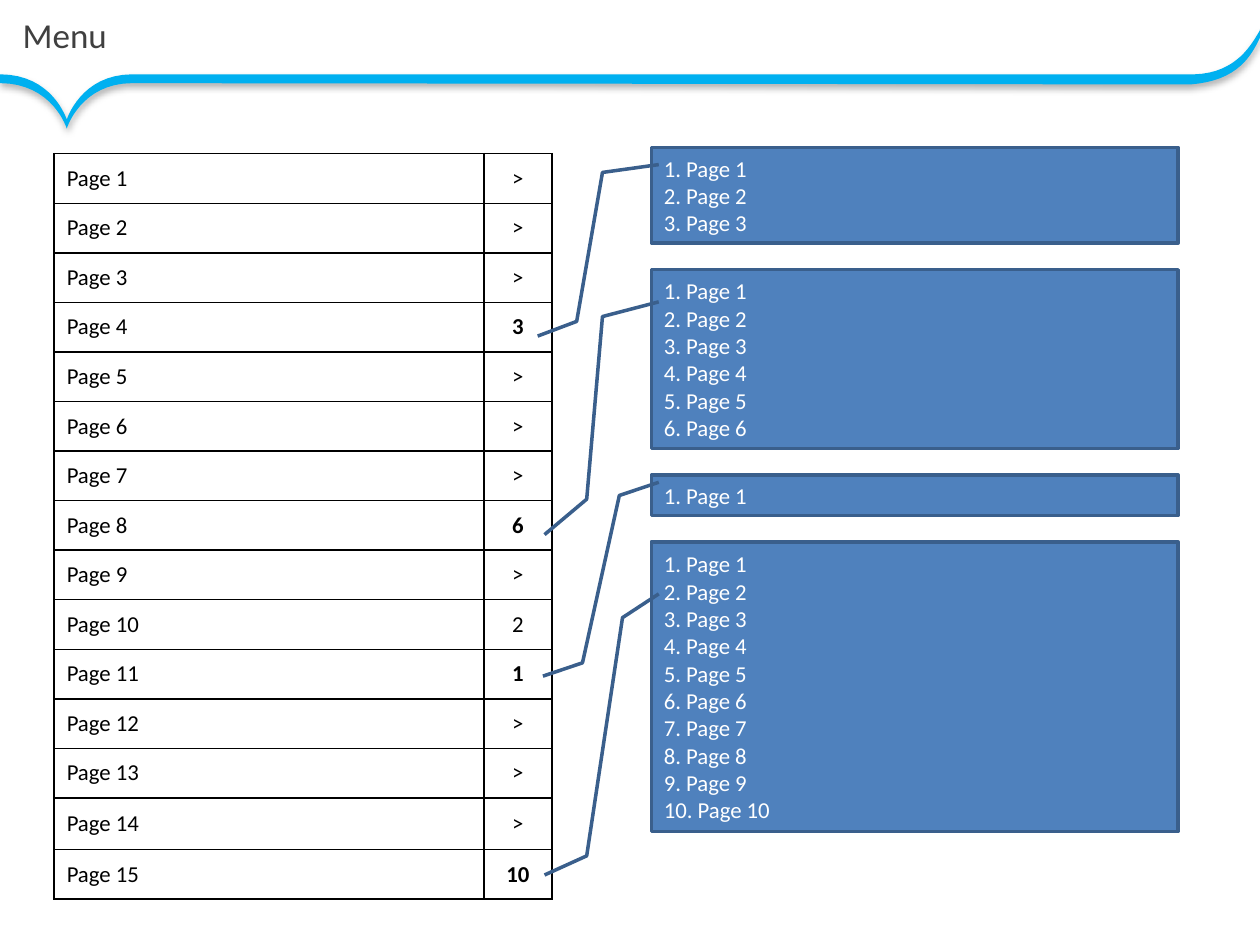
from pptx import Presentation
from pptx.dml.color import RGBColor
from pptx.enum.shapes import MSO_SHAPE
from pptx.enum.text import MSO_ANCHOR as ANCHOR, MSO_AUTO_SIZE as AUTO, PP_ALIGN as ALIGN
from pptx.oxml import parse_xml
from pptx.oxml.ns import nsdecls
from pptx.util import Inches, Pt


def paint(fill, colour):
    fill.solid()
    fill.fore_color.rgb = RGBColor.from_string(colour)


def write(paragraph, words, size, colour, align=ALIGN.LEFT, bold=False):
    paragraph.alignment = align
    run = paragraph.add_run()
    run.text = words
    run.font.name = "Calibri"
    run.font.size = Pt(size)
    run.font.bold = bold
    paint(run.font.fill, colour)


deck = Presentation()
deck.slide_width, deck.slide_height = Inches(10), Inches(7.5)
COL = deck.slide_width // 1000
ROW = deck.slide_height // 750
menu = deck.slides.add_slide(deck.slide_layouts[5])

heading = menu.shapes.title
heading.left, heading.top = 8 * COL, 4 * ROW
heading.width, heading.height = 942 * COL, 47 * ROW
heading.text_frame.vertical_anchor = ANCHOR.MIDDLE
write(heading.text_frame.paragraphs[0], "Menu", 20, "404040")

ribbon_start = (948, 59)
ribbon_path = [
    [(105, 59)],
    [(64, 59), (53, 95), (53, 95)],
    [(53, 95), (42, 59), (0, 59)],
    [(0, 66)],
    [(42, 66), (53, 102), (53, 102)],
    [(53, 102), (64, 66), (105, 66)],
    [(945, 67)],
    [(983, 64), (993, 44), (1000, 30)],
    [(1001, 29), (1000, 20), (1000, 24)],
    [(994, 34), (982, 58), (948, 59)],
]
STEPS = 16
outline = []
corner = ribbon_start
for stretch in ribbon_path:
    if len(stretch) == 1:
        outline.append(stretch[0])
    else:
        for step in range(1, STEPS + 1):
            t = step / STEPS
            weights = ((1 - t) ** 3, 3 * t * (1 - t) ** 2, 3 * t * t * (1 - t), t ** 3)
            outline.append(tuple(
                sum(w * point[axis] for w, point in zip(weights, [corner, *stretch]))
                for axis in (0, 1)
            ))
    corner = stretch[-1]

pen = menu.shapes.build_freeform(ribbon_start[0] * COL, ribbon_start[1] * ROW)
pen.add_line_segments([(round(x * COL), round(y * ROW)) for x, y in outline])
ribbon = pen.convert_to_shape()
paint(ribbon.fill, "00B0F0")
ribbon.line.fill.background()
ribbon.element.spPr.append(parse_xml(
    f'<a:effectLst {nsdecls("a")}><a:outerShdw blurRad="{Pt(4)}" dist="{Pt(2)}" dir="5400000"'
    ' rotWithShape="0"><a:srgbClr val="000000"><a:alpha val="31000"/></a:srgbClr>'
    '</a:outerShdw></a:effectLst>'
))

PAGES = 15
counts = {4: 3, 8: 6, 10: 2, 11: 1, 15: 10}
expanded = {
    4: (0.18, 0.014, 0.262, -0.093, 1.818, -0.142, 1.971, -0.216),
    8: (0.18, 0.014, 0.262, -0.093, 1.283, -0.123, 1.481, -0.203),
    11: (0.18, 0.014, 0.507, -0.061, 4.657, -0.131, 4.987, -0.206),
    15: (0.18, 0.014, 0.262, -0.055, 1.084, -0.123, 1.15, -0.203),
}

pages = menu.shapes.add_table(PAGES, 2, 43 * COL, 122 * ROW, 395 * COL, 592 * ROW).table
pages.first_row = pages.horz_banding = False
pages.columns[0].width, pages.columns[1].width = 341 * COL, 54 * COL
for number, line in enumerate(pages.rows, 1):
    line.height = 41 * ROW if number == 14 else (592 - 41) * ROW // (PAGES - 1)
    entries = [
        (f"Page {number}", ALIGN.LEFT, False),
        (str(counts.get(number, ">")), ALIGN.CENTER, number in expanded),
    ]
    for cell, (words, align, bold) in zip(line.cells, entries):
        cell.margin_left = cell.margin_right = 10 * COL
        cell.margin_top = cell.margin_bottom = 0
        cell.vertical_anchor = ANCHOR.MIDDLE
        write(cell.text_frame.paragraphs[0], words, 13, "000000", align, bold)
        borders = cell._tc.get_or_add_tcPr()
        for side in ("lnL", "lnR", "lnT", "lnB"):
            borders.append(parse_xml(
                f'<a:{side} {nsdecls("a")} w="{Pt(1)}"><a:solidFill>'
                f'<a:srgbClr val="000000"/></a:solidFill></a:{side}>'
            ))
        paint(cell.fill, "FFFFFF")

GAP = 21
top = 117
for number, leader in expanded.items():
    height = 10 + 22 * counts[number]
    subpages = menu.shapes.add_shape(
        MSO_SHAPE.LINE_CALLOUT_3, 517 * COL, top * ROW, 418 * COL, height * ROW)
    for index, share in enumerate(leader):
        subpages.adjustments[index] = share
    subpages.shadow.inherit = False
    paint(subpages.fill, "4F81BD")
    paint(subpages.line.fill, "3A5F8C")
    subpages.line.width = Pt(2)
    body = subpages.text_frame
    body.word_wrap = True
    body.auto_size = AUTO.SHAPE_TO_FIT_TEXT
    body.vertical_anchor = ANCHOR.MIDDLE
    for item in range(1, counts[number] + 1):
        paragraph = body.paragraphs[0] if item == 1 else body.add_paragraph()
        write(paragraph, f"{item}. Page {item}", 13, "FFFFFF")
    top += height + GAP

deck.save("out.pptx")
